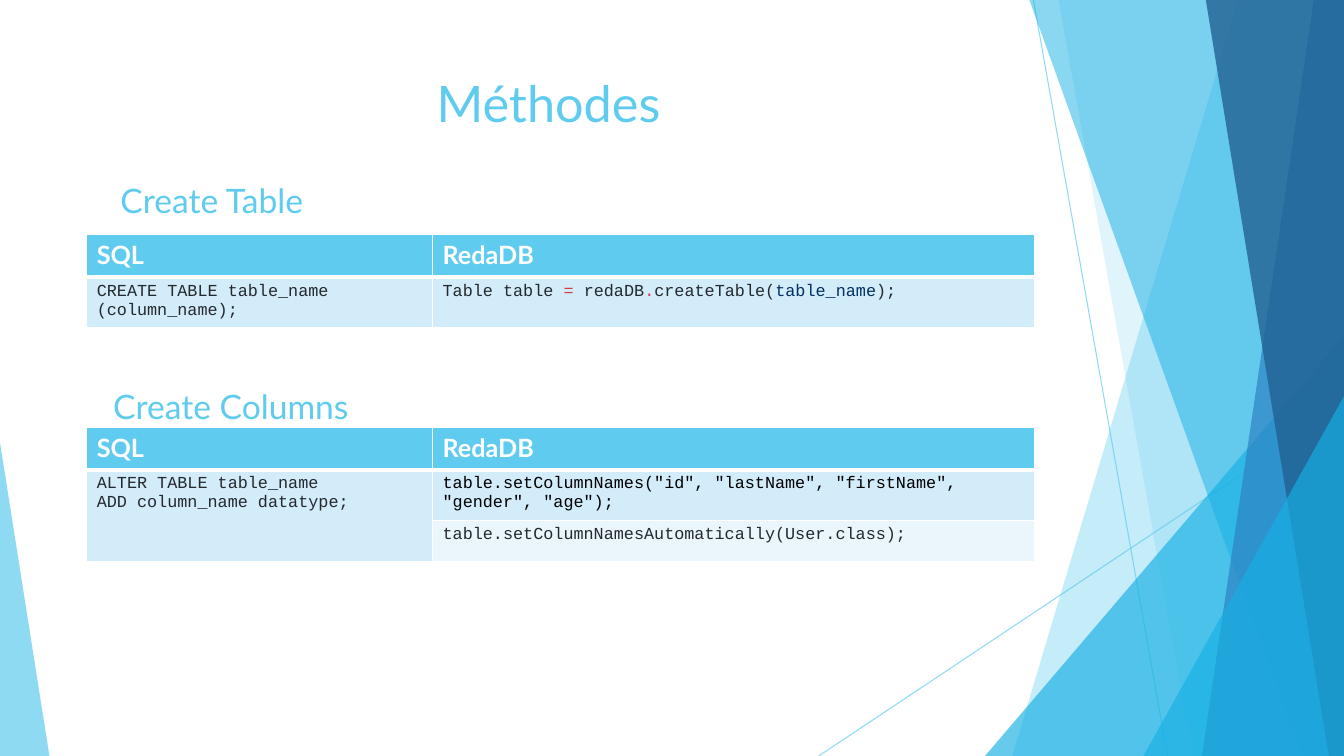
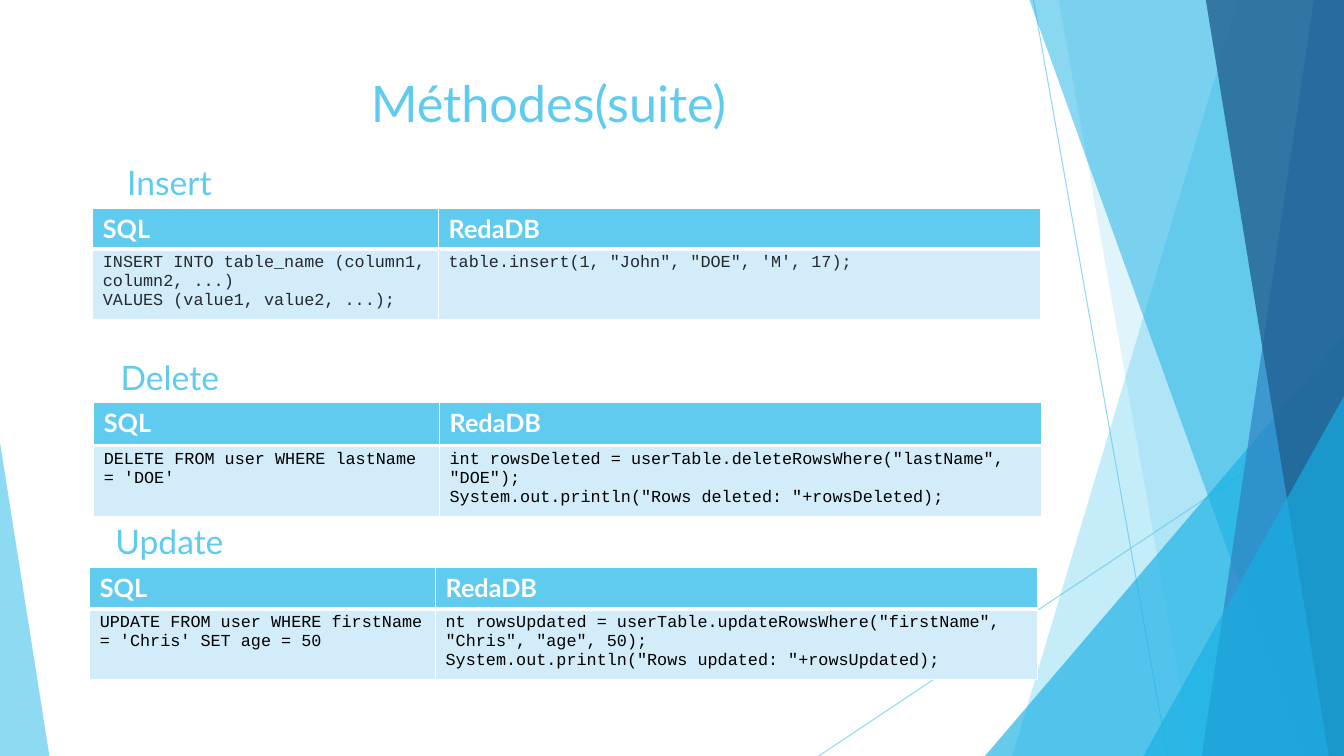
from lxml import etree
from pptx import Presentation
from pptx import util as u
from pptx.dml.color import RGBColor
from pptx.enum import shapes, text
from pptx.oxml.ns import qn

WIDTH, HEIGHT = 13.33, 7.5
SKY, CYAN, BLUE, NAVY = "5FCBEF", "17B0E4", "2E83C3", "226292"
WHITE, BLACK, INK, RED, STRING = "FFFFFF", "000000", "24292E", "D73A49", "032F62"
BANDS = ("D2ECF9", "EAF6FC")
COLUMNS = (3.43, 5.97)
LATO, COURIER = "Lato", "Courier New"


def rgb(value):
    """Turn a hex string into a colour."""
    return RGBColor.from_string(value)


def inches(*values):
    """Convert numbers to lengths in inches."""
    return [u.Inches(value) for value in values]


def write(paragraph, content, size=12, font=COURIER, color=INK, bold=False, align=None):
    """Add a formatted run to a paragraph."""
    run = paragraph.add_run()
    run.text = content
    run.font.size = u.Pt(size)
    run.font.name = font
    run.font.bold = bold
    run.font.color.rgb = rgb(color)
    if align is not None:
        paragraph.alignment = align


def add_label(slide, box, content, size):
    """Place a centred sky-blue label in a box."""
    frame = slide.shapes.add_textbox(*inches(*box)).text_frame
    frame.word_wrap = True
    write(frame.paragraphs[0], content, size=size, font=LATO, color=SKY,
          align=text.PP_ALIGN.CENTER)


def set_opacity(shape, percent):
    """Make the explicit colours of a shape translucent."""
    for color in shape._element.iter(qn("a:srgbClr")):
        etree.SubElement(color, qn("a:alpha")).set("val", str(percent * 1000))


def add_ray(slide, ends):
    """Draw one thin translucent line."""
    line = slide.shapes.add_connector(shapes.MSO_CONNECTOR.STRAIGHT, *inches(*ends))
    line.line.color.rgb = rgb(SKY)
    line.line.width = u.Pt(0.75)
    set_opacity(line, 70)
    etree.SubElement(line._element.spPr, qn("a:effectLst"))


def right_panel(slide, top_x, bottom_x):
    """Outline a full-height panel that ends at the right edge."""
    builder = slide.shapes.build_freeform(*inches(top_x, 0))
    corners = ((WIDTH, 0), (WIDTH, HEIGHT), (bottom_x, HEIGHT))
    builder.add_line_segments([inches(*corner) for corner in corners], close=True)
    return builder.convert_to_shape()


def bottom_triangle(slide, left, right, top, apex):
    """Add a right triangle that stands on the bottom edge."""
    triangle = slide.shapes.add_shape(
        shapes.MSO_SHAPE.ISOSCELES_TRIANGLE,
        *inches(left, top, right - left, HEIGHT - top))
    triangle.adjustments[0] = apex
    return triangle


RAYS = ((10.25, 0, 11.58, HEIGHT), (WIDTH, 4.03, 8.12, HEIGHT))
FACETS = (
    (right_panel, (12.28, 10.04), SKY, 36),
    (right_panel, (10.5, 11.83), SKY, 20),
    (bottom_triangle, (9.77, WIDTH, 3.33, 1), CYAN, 66),
    (right_panel, (10.21, 12.91), CYAN, 50),
    (right_panel, (13.03, 11.92), BLUE, 70),
    (right_panel, (11.96, 13.18), NAVY, 80),
    (bottom_triangle, (11.34, WIDTH, 3.93, 1), CYAN, 66),
    (bottom_triangle, (0, 0.49, 4.39, 0), SKY, 70),
)


def add_backdrop(slide):
    """Draw the rays and translucent facets."""
    for ends in RAYS:
        add_ray(slide, ends)
    for maker, geometry, color, opacity in FACETS:
        shape = maker(slide, *geometry)
        shape.shadow.inherit = False
        shape.fill.solid()
        shape.fill.fore_color.rgb = rgb(color)
        shape.line.fill.background()
        set_opacity(shape, opacity)


def style_cell(cell, row, fill):
    """Give a cell its white borders and fill."""
    properties = cell._tc.get_or_add_tcPr()
    thick_sides = {0: "B", 1: "T"}
    for side in "LRTB":
        width = 3 if thick_sides.get(row) == side else 1
        border = etree.SubElement(properties, qn(f"a:ln{side}"), w=str(u.Pt(width)))
        solid = etree.SubElement(border, qn("a:solidFill"))
        etree.SubElement(solid, qn("a:srgbClr"), val=WHITE)
    cell.fill.solid()
    cell.fill.fore_color.rgb = rgb(fill)


def write_code(cell, lines):
    """Write lines of (text, colour) runs, one paragraph each."""
    frame = cell.text_frame
    for index, line in enumerate(lines):
        paragraph = frame.add_paragraph() if index else frame.paragraphs[0]
        for content, color in line:
            write(paragraph, content, color=color)


def add_comparison(slide, left, top, heights, body):
    """Add a table that sets SQL against RedaDB code."""
    graphic = slide.shapes.add_table(
        len(heights), len(COLUMNS), *inches(left, top, sum(COLUMNS), sum(heights)))
    table = graphic.table
    for column, width in zip(table.columns, COLUMNS):
        column.width = u.Inches(width)
    for index, height in enumerate(heights):
        table.rows[index].height = u.Inches(height)
        fill = BANDS[(index - 1) % 2] if index else SKY
        for cell in table.rows[index].cells:
            style_cell(cell, index, fill)
    for index, name in enumerate(("SQL", "RedaDB")):
        write(table.cell(0, index).text_frame.paragraphs[0], name,
              size=18, font=LATO, color=WHITE, bold=True)
    for row, cells in enumerate(body, 1):
        for column, lines in enumerate(cells):
            if lines is None:
                table.cell(row - 1, column).merge(table.cell(row, column))
            else:
                write_code(table.cell(row, column), lines)


def code(*lines, color=INK):
    """Make one-colour code lines."""
    return [[(line, color)] for line in lines]


def add_method_slide(presentation, title, sections):
    """Build a slide of headed comparison tables."""
    slide = presentation.slides.add_slide(presentation.slide_layouts[6])
    add_backdrop(slide)
    add_label(slide, (0.74, 0.67, 9.4, 0.79), title, 36)
    for heading, (left, top, width), (table_left, table_top), heights, body in sections:
        add_label(slide, (left, top, width, 0.5), heading, 24)
        add_comparison(slide, table_left, table_top, heights, body)


CREATE_CALL = [[
    ("Table table ", INK), ("= ", RED), ("redaDB", INK), (".", RED),
    ("createTable(", INK), ("table_name", STRING), (");", INK),
]]
DEFINITIONS = (
    ("Create Table", (0.74, 1.74, 2.72), (0.86, 2.33), (0.42, 0.49), [
        (code("CREATE TABLE table_name (column_name);"), CREATE_CALL),
    ]),
    ("Create Columns", (0.74, 3.78, 3.1), (0.86, 4.24), (0.42, 0.49, 0.41), [
        (code("ALTER TABLE table_name", "ADD column_name datatype;"),
         code('table.setColumnNames("id", "lastName", "firstName", "gender", "age");',
              color=BLACK)),
        (None, code("table.setColumnNamesAutomatically(User.class);")),
    ]),
)
ROW_CHANGES = (
    ("Insert", (0.32, 1.56, 2.72), (0.92, 2.07), (0.4, 0.7), [
        (code("INSERT INTO table_name (column1, column2, ...)",
              "VALUES (value1, value2, ...);"),
         code("table.insert(1, \"John\", \"DOE\", 'M', 17);")),
    ]),
    ("Delete", (0.62, 3.49, 2.13), (0.93, 3.99), (0.43, 0.7), [
        (code("DELETE FROM user WHERE lastName = 'DOE'", color=BLACK),
         code('int rowsDeleted = userTable.deleteRowsWhere("lastName", "DOE");',
              'System.out.println("Rows deleted: "+rowsDeleted);', color=BLACK)),
    ]),
    ("Update", (0.67, 5.12, 2.02), (0.89, 5.63), (0.41, 0.7), [
        (code("UPDATE FROM user WHERE firstName = 'Chris' SET age = 50", color=BLACK),
         code('nt rowsUpdated = userTable.updateRowsWhere("firstName", "Chris", "age", 50);',
              'System.out.println("Rows updated: "+rowsUpdated);', color=BLACK)),
    ]),
)


def main():
    """Build and save the presentation."""
    presentation = Presentation()
    presentation.slide_width, presentation.slide_height = inches(WIDTH, HEIGHT)
    add_method_slide(presentation, "Méthodes", DEFINITIONS)
    add_method_slide(presentation, "Méthodes(suite)", ROW_CHANGES)
    presentation.save("out.pptx")


main()
